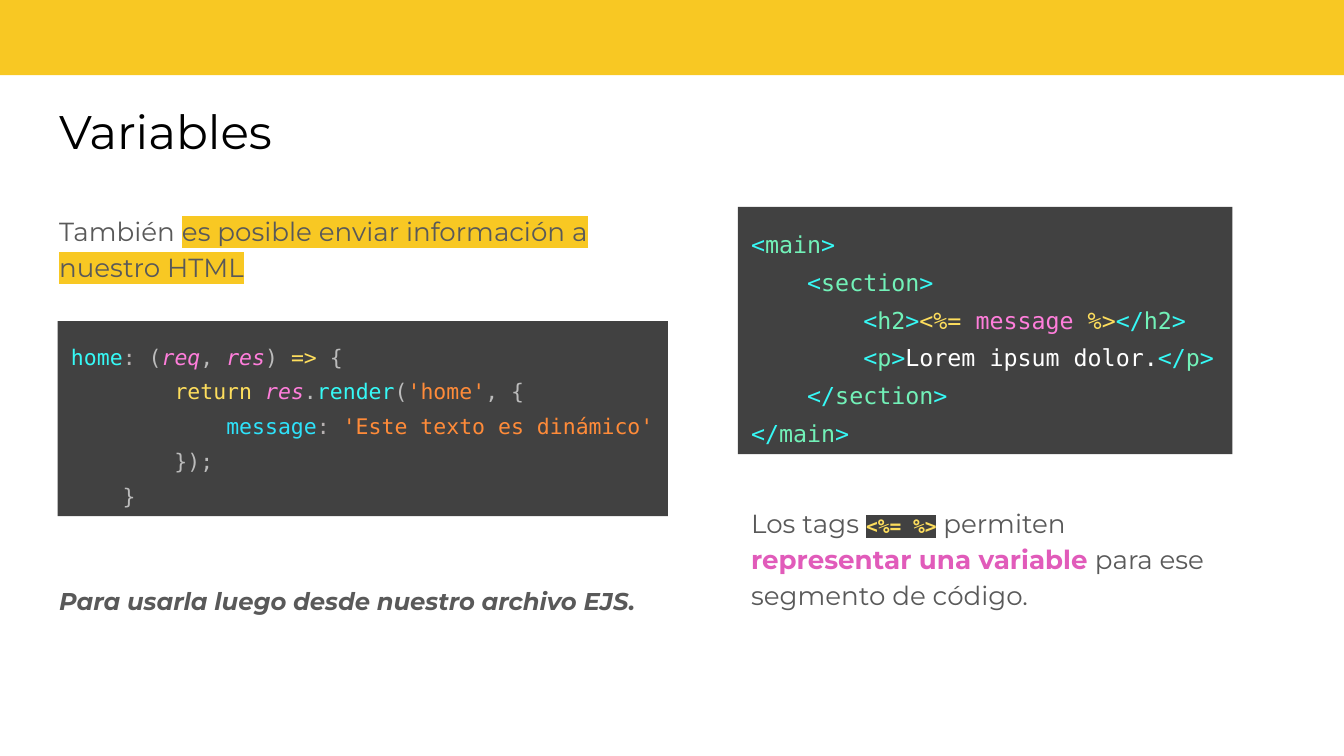
from lxml import etree
from pptx import Presentation, util as u
from pptx.dml.color import RGBColor
from pptx.enum import shapes, text
from pptx.oxml.ns import qn

YELLOW, DARK, GREY = "F8C823", "414141", "595959"
CYAN, GREEN, GOLD, PINK = "36F9F6", "72F1B8", "FEDE5D", "FF7EDB"
ORANGE, SILVER, ASH, WHITE = "FF8B39", "BBBBBB", "B6B1B1", "FFFFFF"
SANS, MONO = "Montserrat", "DejaVu Sans Mono"


def tag(name, start="<"):
    return [(start, CYAN), (name, GREEN), (">", CYAN)]


def indent(level):
    return [("    " * level, WHITE)]


# Content: a line is a list of runs (text, colour, other format values)
ITALIC = {"italic": True}
TAG_MARK = {"name": MONO, "size": 10.5, "bold": True, "highlight": DARK}

TITLE = [[("Variables", "000000")]]
INTRO = [[("También ", GREY),
          ("es posible enviar información a nuestro HTML", GREY, {"highlight": YELLOW})]]
USAGE = [[("Para usarla luego desde nuestro archivo EJS.", GREY,
           {"bold": True, "italic": True})]]
TAGS_NOTE = [[("Los tags ", GREY), ("<%=", GOLD, TAG_MARK), (" ", WHITE, TAG_MARK),
              ("%>", GOLD, TAG_MARK), (" permiten ", GREY),
              ("representar una variable", "E15BBA", {"bold": True}),
              (" para ese segmento de código.", GREY)]]
CONTROLLER = [
    [("home", CYAN), (":", ASH), (" (", SILVER), ("req", PINK, ITALIC), (", ", SILVER),
     ("res", PINK, ITALIC), (") ", SILVER), ("=>", GOLD), (" {", SILVER)],
    indent(2) + [("return ", GOLD), ("res", PINK, ITALIC), (".", SILVER), ("render", CYAN),
                 ("(", SILVER), ("'home'", ORANGE), (", {", SILVER)],
    indent(3) + [("message", "2EE2FA"), (": ", ASH), ("'Este texto es dinámico'", ORANGE)],
    [("        });", SILVER)],
    [("    }", SILVER)],
]
VIEW = [
    tag("main"),
    indent(1) + tag("section"),
    indent(2) + tag("h2") + [("<%= ", GOLD), ("message ", PINK), ("%>", GOLD)] + tag("h2", "</"),
    indent(2) + tag("p") + [("Lorem ipsum dolor.", WHITE)] + tag("p", "</"),
    indent(1) + tag("section", "</"),
    tag("main", "</"),
]


def rgb(value):
    return RGBColor.from_string(value)


def place(sp, *box):
    sp.left, sp.top, sp.width, sp.height = map(u.Inches, box)


def add_rect(box, fill):
    sp = s.shapes.add_shape(shapes.MSO_SHAPE.RECTANGLE, *map(u.Inches, box))
    sp.shadow.inherit = False
    sp.fill.solid()
    sp.fill.fore_color.rgb = rgb(fill)
    sp.line.fill.background()
    return sp


def highlight(r, colour):
    mark = etree.Element(qn("a:highlight"))
    etree.SubElement(mark, qn("a:srgbClr"), val=colour)
    r.font.fill._xPr.find(qn("a:solidFill")).addnext(mark)


def write(sp, lines, size, font=SANS, spacing=1.15, after=0):
    tf = sp.text_frame
    frame = {"word_wrap": True, "auto_size": text.MSO_AUTO_SIZE.NONE,
             "vertical_anchor": text.MSO_ANCHOR.TOP}
    frame.update({f"margin_{side}": u.Inches(0.1)
                  for side in ("left", "top", "right", "bottom")})
    for key, value in frame.items():
        setattr(tf, key, value)
    for i, line in enumerate(lines):
        p = tf.paragraphs[0] if i == 0 else tf.add_paragraph()
        pPr = p._p.get_or_add_pPr()
        pPr.set("marL", "0")
        pPr.set("indent", "0")
        etree.SubElement(pPr, qn("a:buNone"))
        para = {"alignment": text.PP_ALIGN.LEFT, "line_spacing": spacing,
                "space_before": u.Pt(0), "space_after": u.Pt(after)}
        for key, value in para.items():
            setattr(p, key, value)
        for words, colour, *extra in line:
            r = p.add_run()
            r.text = words
            values = {"name": font, "size": size, "bold": False, "italic": False}
            for part in extra:
                values.update(part)
            mark = values.pop("highlight", None)
            values["size"] = u.Pt(values["size"])
            for key, value in values.items():
                setattr(r.font, key, value)
            r.font.color.rgb = rgb(colour)
            if mark:
                highlight(r, mark)


# A 16:9 slide
prs = Presentation()
prs.slide_width = u.Inches(10)
prs.slide_height = prs.slide_width * 9 // 16
s = prs.slides.add_slide(prs.slide_layouts[3])
title, intro, usage = s.placeholders

# Top band
add_rect((-0.01, -0.05, 10.03, 0.61), YELLOW)

# Title and left column
LEFT, WIDTH = 0.34, 4.62
place(title, LEFT, 0.66, 9.32, 0.63)
write(title, TITLE, 25.2, spacing=1)
place(intro, LEFT, 1.47, WIDTH, 0.72)
write(intro, INTRO, 14, after=12)
write(add_rect((0.43, 2.39, 4.54, 1.45), DARK), CONTROLLER, 11.5, MONO, 1.35)
place(usage, LEFT, 4.23, WIDTH, 0.47)
write(usage, USAGE, 13, after=12)

# Right column
RIGHT, WIDTH = 5.49, 3.68
write(add_rect((RIGHT, 1.54, WIDTH, 1.84), DARK), VIEW, 12.5, MONO, 1.35)
note = s.shapes.add_textbox(*map(u.Inches, (RIGHT, 3.64, WIDTH, 0.98)))
write(note, TAGS_NOTE, 14, after=12)

prs.save("out.pptx")
